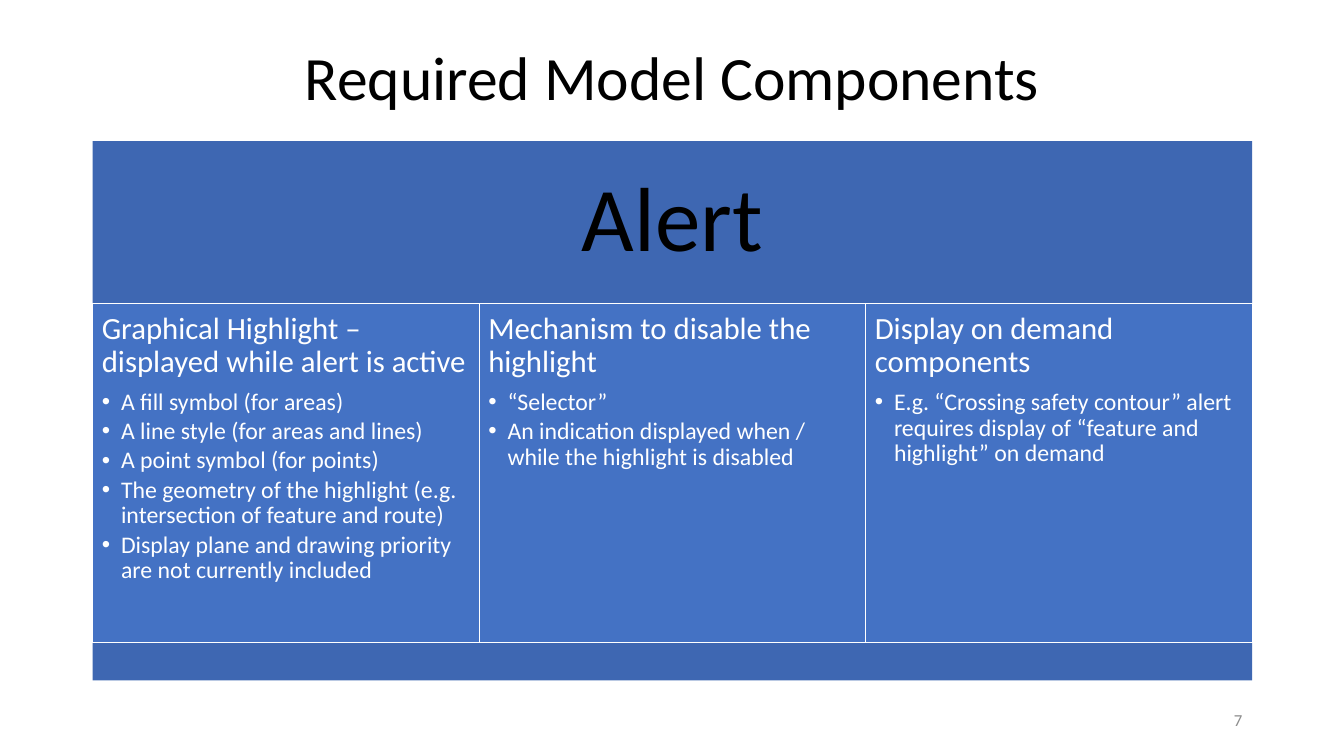
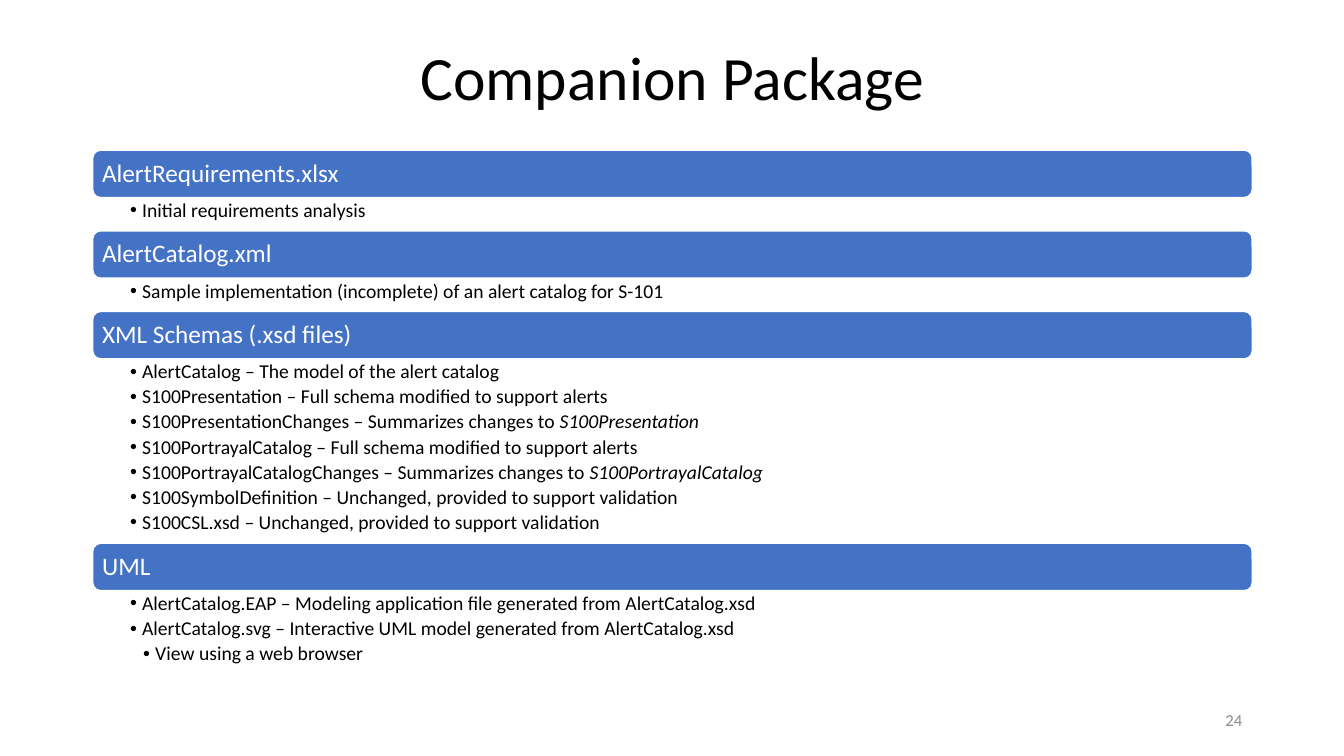
from lxml import etree
from pptx import Presentation
from pptx.dml.color import RGBColor
from pptx.enum import shapes, text
from pptx.oxml.ns import qn
from pptx.util import Inches, Pt

COLOURS = {"band": "3E67B2", "panel": "4472C4", "white": "FFFFFF",
           "black": "000000", "grey": "8C8C8C"}
FONT = "Calibri"
LEFT, WIDTH = 0.92, 11.5
RECT = shapes.MSO_SHAPE.RECTANGLE
ROUNDED = shapes.MSO_SHAPE.ROUNDED_RECTANGLE
TOP, MIDDLE = text.MSO_ANCHOR.TOP, text.MSO_ANCHOR.MIDDLE


def add_box(page, place, insets, anchor=MIDDLE, kind=None, fill=None, outlined=False):
    """Add a filled shape, or a text box when kind is None; return its text frame."""
    place = [Inches(length) for length in place]
    if kind is None:
        box = page.shapes.add_textbox(*place)
    else:
        box = page.shapes.add_shape(kind, *place)
        box.shadow.inherit = False
        box.fill.solid()
        box.fill.fore_color.rgb = RGBColor.from_string(COLOURS[fill])
        if outlined:
            box.line.color.rgb = RGBColor.from_string(COLOURS["white"])
            box.line.width = Pt(1)
        else:
            box.line.fill.background()
    frame = box.text_frame
    frame.word_wrap = True
    frame.vertical_anchor = anchor
    frame.margin_left, frame.margin_top, frame.margin_right, frame.margin_bottom = [
        Inches(inset) for inset in insets]
    return frame


def write(frame, words, size, colour, align=text.PP_ALIGN.LEFT, after=0, hang=0, indent=0):
    """Add a paragraph; *stars* mark italics, and a hang above zero adds a bullet."""
    para = frame.paragraphs[0]
    if para.runs:
        para = frame.add_paragraph()
    if hang:
        props = para._p.get_or_add_pPr()
        props.set("marL", str(Inches(indent or hang)))
        props.set("indent", str(-Inches(hang)))
        etree.SubElement(props, qn("a:buFont")).set("typeface", "Arial")
        etree.SubElement(props, qn("a:buChar")).set("char", "•")
    para.alignment = align
    para.line_spacing = 0.9
    para.space_before = Pt(0)
    para.space_after = Pt(after)
    for index, part in enumerate(words.split("*")):
        if part:
            span = para.add_run()
            span.text = part
            span.font.name = FONT
            span.font.size = Pt(size)
            span.font.italic = index % 2 == 1
            span.font.color.rgb = RGBColor.from_string(COLOURS[colour])


deck = Presentation()
deck.slide_width, deck.slide_height = Inches(13.33), Inches(7.5)

# Titles and page numbers
pages = []
for heading, number in [("Required Model Components", "7"), ("Companion Package", "24")]:
    page = deck.slides.add_slide(deck.slide_layouts[5])
    title = page.shapes.title
    title.left, title.top = Inches(LEFT), Inches(0.4)
    title.width, title.height = Inches(WIDTH), Inches(0.79)
    title.text_frame.vertical_anchor = MIDDLE
    write(title.text_frame, heading, 44, "black", text.PP_ALIGN.CENTER)
    footer = add_box(page, (LEFT + WIDTH - 3, 6.95, 3, 0.4), (0.1, 0.05, 0.1, 0.05))
    write(footer, number, 12, "grey", text.PP_ALIGN.RIGHT)
    pages.append(page)
model_page, package_page = pages

# Alert band over three component columns
columns = [
    ("Graphical Highlight – displayed while alert is active",
     ["A fill symbol (for areas)",
      "A line style (for areas and lines)",
      "A point symbol (for points)",
      "The geometry of the highlight (e.g. intersection of feature and route)",
      "Display plane and drawing priority are not currently included"]),
    ("Mechanism to disable the highlight",
     ["“Selector”",
      "An indication displayed when / while the highlight is disabled"]),
    ("Display on demand components",
     ["E.g. “Crossing safety contour” alert requires display of "
      "“feature and highlight” on demand"]),
]
alert = add_box(model_page, (LEFT, 1.4, WIDTH, 1.61), [0.27] * 4, kind=RECT, fill="band")
write(alert, "Alert", 65, "black", text.PP_ALIGN.CENTER)
column_width = WIDTH / len(columns)
for index, (heading, points) in enumerate(columns):
    place = (LEFT + index * column_width, 3.01, column_width, 3.37)
    column = add_box(model_page, place, [0.09] * 4, TOP, RECT, "panel", outlined=True)
    write(column, heading, 22, "white", after=7.7)
    for point in points:
        write(column, point, 17, "white", after=2.55, hang=0.19)
add_box(model_page, (LEFT, 6.38, WIDTH, 0.37), [0] * 4, kind=RECT, fill="band")

# File bars, each followed by its bullets; a leading tab marks a sub-point
files = [
    ("AlertRequirements.xlsx", ["Initial requirements analysis"]),
    ("AlertCatalog.xml",
     ["Sample implementation (incomplete) of an alert catalog for S-101"]),
    ("XML Schemas (.xsd files)",
     ["AlertCatalog – The model of the alert catalog",
      "S100Presentation – Full schema modified to support alerts",
      "S100PresentationChanges – Summarizes changes to *S100Presentation*",
      "S100PortrayalCatalog – Full schema modified to support alerts",
      "S100PortrayalCatalogChanges – Summarizes changes to *S100PortrayalCatalog*",
      "S100SymbolDefinition – Unchanged, provided to support validation",
      "S100CSL.xsd – Unchanged, provided to support validation"]),
    ("UML",
     ["AlertCatalog.EAP – Modeling application file generated from AlertCatalog.xsd",
      "AlertCatalog.svg – Interactive UML model generated from AlertCatalog.xsd",
      "\tView using a web browser"]),
]
top, bar_height = 1.49, 0.47
for heading, points in files:
    bar = add_box(package_page, (LEFT, top, WIDTH, bar_height), [0.07] * 4,
                  kind=ROUNDED, fill="panel", outlined=True)
    write(bar, heading, 18, "white")
    top += bar_height
    list_height = 0.33 + 0.25 * (len(points) - 1)
    details = add_box(package_page, (LEFT, top, WIDTH, list_height),
                      (0.37, 0.03, 0.14, 0.03), TOP)
    for point in points:
        indent = 0.25 if point.startswith("\t") else 0.12
        write(details, point.strip(), 14, "black", after=2.8, hang=0.12, indent=indent)
    top += list_height

deck.save("out.pptx")
